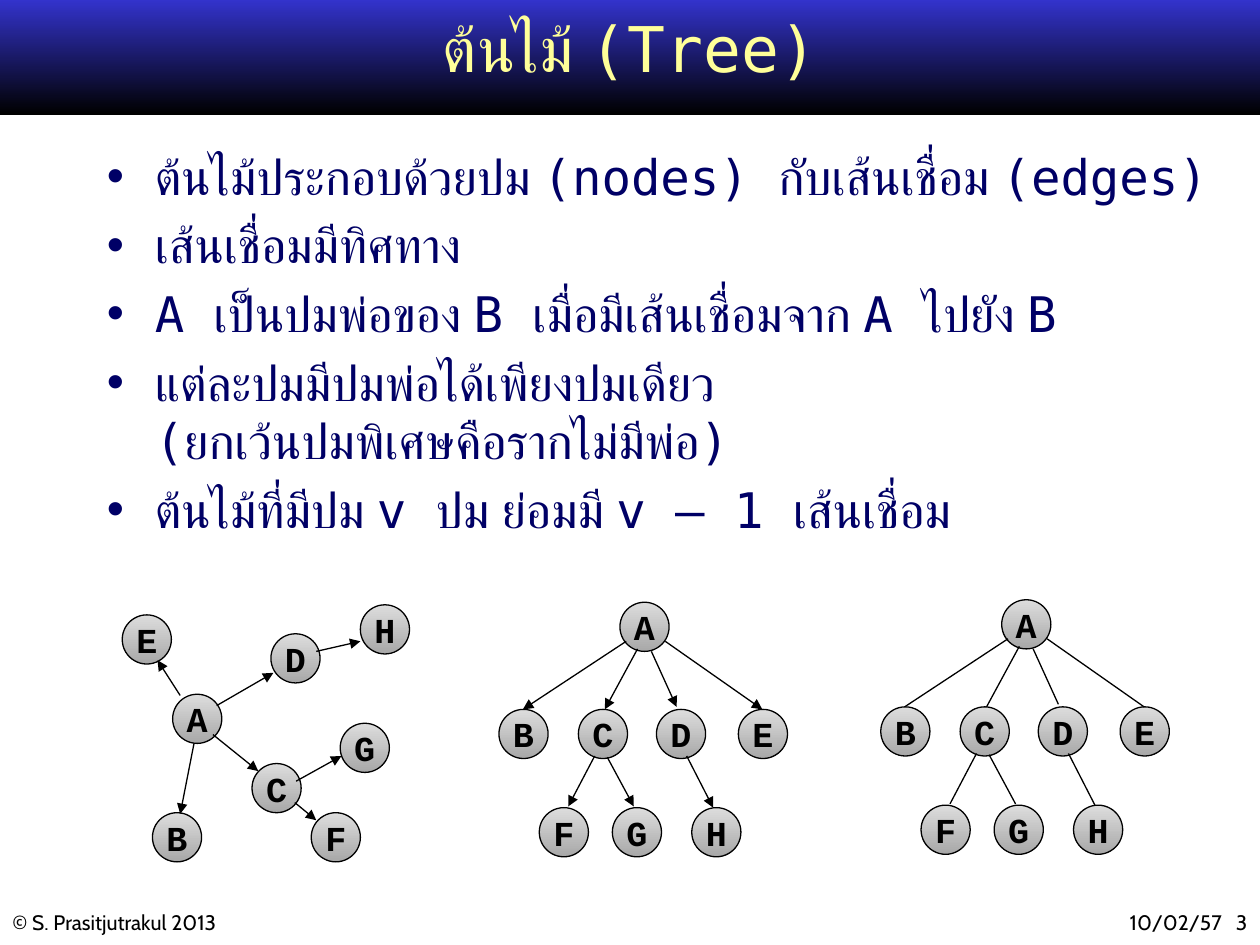
from lxml import etree
from pptx import Presentation
from pptx.dml.color import RGBColor
from pptx.enum import shapes, text
from pptx.oxml.ns import qn
from pptx.util import Inches, Pt

COLORS = {
    "black": "000000", "blue": "3333CC", "yellow": "FFFF99",
    "navy": "000066", "light": "DDDDDD", "grey": "A8A8A8",
}
MONO, CODE, SANS = "DejaVu Sans Mono", "Courier New", "Cabin"
ALIGN, ANCHOR = text.PP_ALIGN, text.MSO_ANCHOR
NODE = 0.39

BULLETS = [
    "ต้นไม้ประกอบด้วยปม (nodes) กับเส้นเชื่อม (edges)",
    "เส้นเชื่อมมีทิศทาง",
    "A เป็นปมพ่อของ B เมื่อมีเส้นเชื่อมจาก A ไปยัง B",
    "แต่ละปมมีปมพ่อได้เพียงปมเดียว\n(ยกเว้นปมพิเศษคือรากไม่มีพ่อ)",
    "ต้นไม้ที่มีปม v ปม ย่อมมี v – 1 เส้นเชื่อม",
]

# Nodes hold left and top; edges hold start x, y and end x, y.
FREE_NODES = {
    "A": (1.37, 5.51), "D": (2.15, 5.03), "E": (0.97, 4.88), "C": (2, 6.06),
    "B": (1.21, 6.45), "G": (2.7, 5.74), "H": (2.86, 4.8), "F": (2.47, 6.45),
}
FREE_EDGES = [
    (1.72, 5.6, 2.17, 5.34), (1.43, 5.52, 1.25, 5.24),
    (1.54, 5.9, 1.43, 6.46), (1.69, 5.83, 2.05, 6.12),
    (2.51, 5.17, 2.86, 5.09), (2.35, 6.2, 2.71, 6),
    (2.34, 6.37, 2.51, 6.51),
]
ROOT_NODES = {
    "A": (4.92, 4.78), "D": (5.21, 5.63), "E": (5.86, 5.63), "C": (4.59, 5.63),
    "B": (3.96, 5.63), "G": (4.86, 6.41), "H": (5.49, 6.41), "F": (4.28, 6.41),
}
ROOT_EDGES = [
    (4.97, 5.09, 4.15, 5.63), (5.06, 5.15, 4.8, 5.63),
    (5.17, 5.17, 5.37, 5.61), (5.28, 5.09, 6.05, 5.63),
    (4.72, 6, 4.51, 6.4), (4.82, 6.01, 5.03, 6.4),
    (5.45, 6, 5.66, 6.41),
]


def rgb(name):
    return RGBColor.from_string(COLORS[name])


class Deck:
    """Holds the style and the current slide."""

    def __init__(self):
        self.prs = Presentation()
        self.prs.slide_width, self.prs.slide_height = Inches(10), Inches(7.5)
        self.slide = self.prs.slides.add_slide(self.prs.slide_layouts[5])

    def style(self, para, size, font, color, align=ALIGN.LEFT, bold=False):
        para.alignment = align
        para.font.size, para.font.name = Pt(size), font
        para.font.bold, para.font.color.rgb = bold, rgb(color)

    def shade(self, shape, top, bottom):
        """Fill with a gradient running downwards."""
        shape.shadow.inherit = False
        shape.fill.gradient()
        shape.fill.gradient_angle = 270
        for stop, name in zip(shape.fill.gradient_stops, (top, bottom)):
            stop.color.rgb = rgb(name)

    def band(self, height):
        band = self.slide.shapes.add_shape(
            shapes.MSO_SHAPE.RECTANGLE, 0, 0, Inches(10), Inches(height))
        self.shade(band, "blue", "black")
        band.line.fill.background()
        self.slide.shapes._spTree.insert(2, band._element)

    def title(self, words, box):
        title = self.slide.shapes.title
        title.left, title.top, title.width, title.height = map(Inches, box)
        frame = title.text_frame
        frame.text = words
        frame.vertical_anchor = ANCHOR.MIDDLE
        self.style(frame.paragraphs[0], 36, MONO, "yellow", ALIGN.CENTER)
        frame.paragraphs[0].line_spacing = 0.8

    def frame(self, box):
        frame = self.slide.shapes.add_textbox(*map(Inches, box)).text_frame
        frame.word_wrap = True
        return frame

    def note(self, words, box, align):
        frame = self.frame(box)
        frame.text = words
        self.style(frame.paragraphs[0], 12, SANS, "black", align)

    def bullets(self, lines, box):
        frame = self.frame(box)
        for i, line in enumerate(lines):
            para = frame.add_paragraph() if i else frame.paragraphs[0]
            para.text = line
            para.space_before = Pt(5.6)
            props = para._p.get_or_add_pPr()
            props.set("marL", str(Inches(0.38)))
            props.set("indent", str(-Inches(0.38)))
            etree.SubElement(props, qn("a:buFont")).set("typeface", "Arial")
            etree.SubElement(props, qn("a:buChar")).set("char", "•")
            self.style(para, 28, MONO, "navy")

    def node(self, group, name, x, y):
        node = group.shapes.add_shape(
            shapes.MSO_SHAPE.OVAL, *map(Inches, (x, y, NODE, NODE)))
        self.shade(node, "light", "grey")
        node.line.color.rgb, node.line.width = rgb("black"), Pt(0.75)
        frame = node.text_frame
        frame.margin_left = frame.margin_right = 0
        frame.margin_top = frame.margin_bottom = Inches(0.04)
        frame.word_wrap = False
        frame.vertical_anchor = ANCHOR.MIDDLE
        frame.text = name
        self.style(frame.paragraphs[0], 20, CODE, "black", ALIGN.CENTER, True)

    def edge(self, group, ends, arrow):
        edge = group.shapes.add_connector(
            shapes.MSO_CONNECTOR.STRAIGHT, *map(Inches, ends))
        edge.line.color.rgb, edge.line.width = rgb("black"), Pt(0.75)
        if arrow:
            tail = etree.SubElement(edge.get_or_add_ln(), qn("a:tailEnd"))
            tail.set("type", "triangle")
        etree.SubElement(edge._element.spPr, qn("a:effectLst"))

    def tree(self, nodes, edges, dx=0, dy=0, arrow=True):
        group = self.slide.shapes.add_group_shape()
        for name, (x, y) in nodes.items():
            self.node(group, name, x + dx, y + dy)
        for x1, y1, x2, y2 in edges:
            self.edge(group, (x1 + dx, y1 + dy, x2 + dx, y2 + dy), arrow)


def main():
    deck = Deck()
    deck.band(0.91)
    deck.note("© S. Prasitjutrakul 2013", (0, 7.17, 3.25, 0.3), ALIGN.LEFT)
    deck.note("10/02/57   3", (7.83, 7.17, 2.17, 0.3), ALIGN.RIGHT)
    deck.title("ต้นไม้ (Tree)", (0.75, 0.08, 8.5, 0.71))
    deck.bullets(BULLETS, (0.75, 1.11, 8.99, 5.58))
    deck.tree(FREE_NODES, FREE_EDGES)
    deck.tree(ROOT_NODES, ROOT_EDGES)
    deck.tree(ROOT_NODES, ROOT_EDGES, 3.03, -0.02, arrow=False)
    deck.prs.save("out.pptx")


if __name__ == "__main__":
    main()
